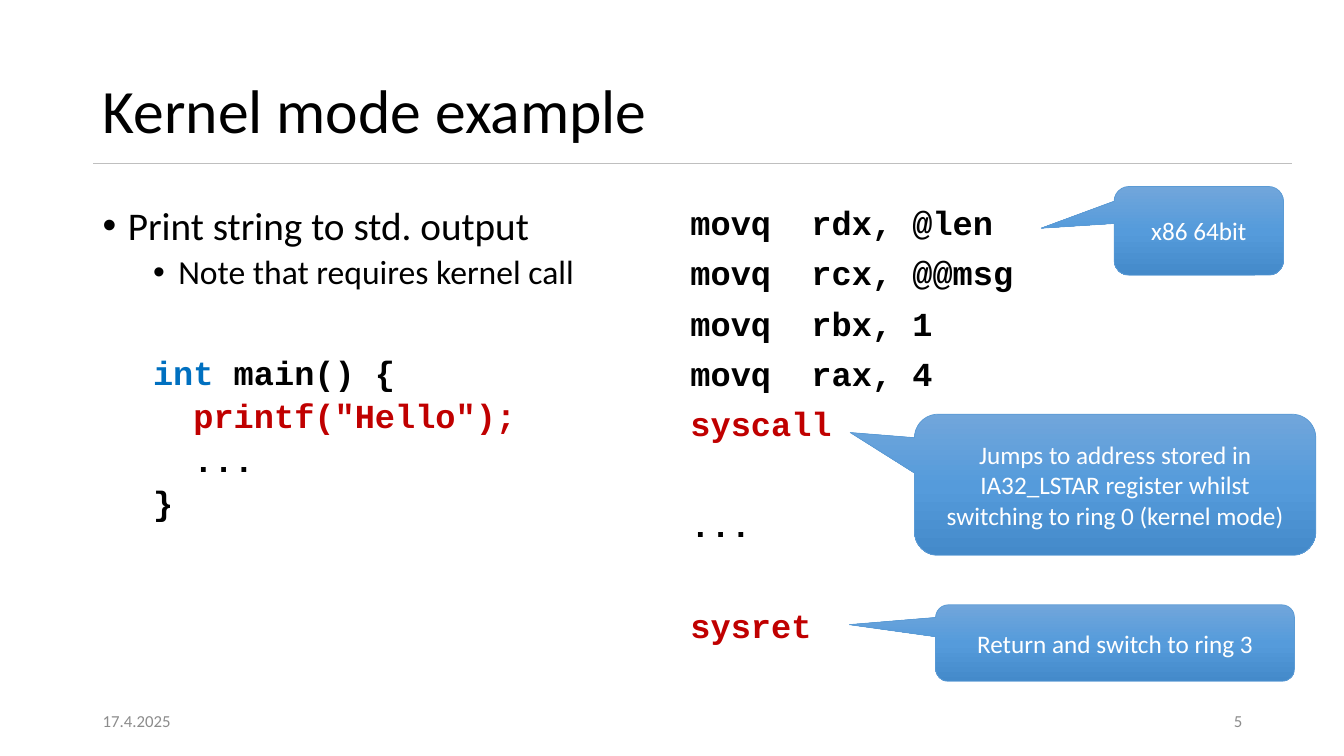
"""Build the kernel mode example slide."""
from copy import deepcopy
from dataclasses import dataclass

from lxml import etree
from pptx import Presentation
from pptx.dml.color import RGBColor
from pptx.enum.shapes import MSO_CONNECTOR, MSO_SHAPE
from pptx.enum.text import MSO_ANCHOR, PP_ALIGN
from pptx.oxml.ns import qn
from pptx.shapes.autoshape import Shape
from pptx.slide import Slide
from pptx.text.text import TextFrame
from pptx.util import Inches, Pt

LEFT, CENTER, RIGHT = PP_ALIGN.LEFT, PP_ALIGN.CENTER, PP_ALIGN.RIGHT
TOP, MIDDLE = MSO_ANCHOR.TOP, MSO_ANCHOR.MIDDLE
BUBBLE = MSO_SHAPE.ROUNDED_RECTANGULAR_CALLOUT
STRAIGHT = MSO_CONNECTOR.STRAIGHT


@dataclass(frozen=True)
class Theme:
    sans: str = "Calibri"
    mono: str = "Courier New"
    ink: str = "000000"
    blue: str = "0070C0"
    red: str = "C00000"
    gray: str = "8C8C8C"
    rule: str = "BFBFBF"
    white: str = "FFFFFF"
    edge: str = "5B9BD5"
    fade: tuple[str, ...] = ("71A6DB", "559BDB", "448ACA")
    title: int = 44
    lead: int = 28
    text: int = 24
    note: int = 18
    foot: int = 12


THEME = Theme()


@dataclass(frozen=True)
class Box:
    left: float
    top: float
    width: float
    height: float


@dataclass(frozen=True)
class Word:
    text: str
    color: str = THEME.ink


@dataclass(frozen=True)
class Line:
    words: tuple[Word, ...]
    before: float = 0
    size: int = THEME.text
    font: str = THEME.mono
    bold: bool = True
    margin: float = 0
    bullet: bool = False
    spacing: float = 0.9
    align: PP_ALIGN = LEFT


@dataclass(frozen=True)
class Bubble:
    text: str
    box: Box
    tip: tuple[float, float]


def plain(text: str, size: int, color: str = THEME.ink, **more) -> Line:
    """Describe a line of regular sans text."""
    return Line((Word(text, color),), size=size, font=THEME.sans, bold=False, **more)


def code(text: str, before: float = 10, color: str = THEME.ink) -> Line:
    """Describe a line of code in one colour."""
    return Line((Word(text, color),), before)


def write(frame: TextFrame, lines: list[Line], anchor: MSO_ANCHOR) -> None:
    """Fill a text frame with formatted lines."""
    frame.word_wrap = True
    frame.vertical_anchor = anchor
    frame.text = "\n".join(line.words[0].text for line in lines)
    for para, line in zip(frame.paragraphs, lines):
        props = para._p.get_or_add_pPr()
        props.set("marL", str(Inches(line.margin)))
        props.set("indent", str(Inches(-0.25 if line.bullet else 0)))
        if line.bullet:
            etree.SubElement(props, qn("a:buFont"), typeface="Arial")
            etree.SubElement(props, qn("a:buChar"), char="•")
        para.alignment = line.align
        para.line_spacing = line.spacing
        para.space_before = Pt(line.before)
        for word in line.words[1:]:
            para.add_run().text = word.text
        for run, word in zip(para.runs, line.words):
            run.font.name = line.font
            run.font.size = Pt(line.size)
            run.font.bold = line.bold
            run.font.color.rgb = RGBColor.from_string(word.color)


def place(shape: Shape, box: Box) -> None:
    """Move and size a shape."""
    shape.left, shape.top = Inches(box.left), Inches(box.top)
    shape.width, shape.height = Inches(box.width), Inches(box.height)


def add_text(slide: Slide, box: Box, lines: list[Line], anchor: MSO_ANCHOR = TOP) -> None:
    """Add a text box."""
    shape = slide.shapes.add_textbox(0, 0, 0, 0)
    place(shape, box)
    write(shape.text_frame, lines, anchor)


def add_rule(slide: Slide) -> None:
    """Add the thin rule under the title."""
    rule = slide.shapes.add_connector(
        STRAIGHT, Inches(12.81), Inches(1.62), Inches(0.92), Inches(1.62))
    rule.line.color.rgb = RGBColor.from_string(THEME.rule)
    rule.line.width = Pt(1)
    etree.SubElement(rule._element.spPr, qn("a:effectLst"))


def add_bubble(slide: Slide, bubble: Bubble) -> None:
    """Add a callout with a gradient fill."""
    shape = slide.shapes.add_shape(BUBBLE, 0, 0, 0, 0)
    place(shape, bubble.box)
    for index, value in enumerate((*bubble.tip, 0.167)):
        shape.adjustments[index] = value
    shape.shadow.inherit = False
    shape.fill.gradient()
    shape.fill.gradient_angle = 270
    stops = shape._element.spPr.find(qn("a:gradFill")).find(qn("a:gsLst"))
    stops.append(deepcopy(stops[0]))
    for index, (stop, color) in enumerate(zip(shape.fill.gradient_stops, THEME.fade)):
        stop.position = index / 2
        stop.color.rgb = RGBColor.from_string(color)
    shape.line.color.rgb = RGBColor.from_string(THEME.edge)
    shape.line.width = Pt(0.5)
    line = plain(bubble.text, THEME.note, THEME.white, spacing=1.0, align=CENTER)
    write(shape.text_frame, [line], MIDDLE)


SOURCE = [
    plain("Print string to std. output", THEME.lead, margin=0.25, bullet=True),
    plain("Note that requires kernel call", THEME.text, before=5, margin=0.75, bullet=True),
    Line((Word("int", THEME.blue), Word(" main() {")), 46, margin=0.5),
    Line((Word("  "), Word('printf("Hello");', THEME.red)), 5, margin=0.5),
    Line((Word("  ..."),), 5, margin=0.5),
    Line((Word("}"),), 5, margin=0.5),
]
CALLS = [
    code("movq  rdx, @len", 0),
    code("movq  rcx, @@msg"),
    code("movq  rbx, 1"),
    code("movq  rax, 4"),
    code("syscall", color=THEME.red),
    code("...", 46),
    code("sysret", 46, THEME.red),
]
BUBBLES = [
    Bubble("Jumps to address stored in IA32_LSTAR register whilst "
           "switching to ring 0 (kernel mode)",
           Box(9.07, 4.11, 3.98, 1.4), (-0.66, -0.37)),
    Bubble("Return and switch to ring 3", Box(9.28, 6, 3.56, 0.76), (-0.74, -0.24)),
    Bubble("x86 64bit", Box(11.05, 1.85, 1.68, 0.88), (-0.93, -0.03)),
]


def main() -> None:
    """Draw and save the slide."""
    deck = Presentation()
    deck.slide_width, deck.slide_height = Inches(13.33), Inches(7.5)
    slide = deck.slides.add_slide(deck.slide_layouts[5])
    add_rule(slide)
    title = slide.shapes.title
    place(title, Box(0.92, 0.4, 10.63, 1.45))
    write(title.text_frame, [plain("Kernel mode example", THEME.title)], MIDDLE)
    for left, lines in ((0.92, SOURCE), (6.75, CALLS)):
        add_text(slide, Box(left, 2, 5.67, 4.76), lines)
    for left, text, align in ((0.92, "17.4.2025", LEFT), (9.42, "5", RIGHT)):
        line = plain(text, THEME.foot, THEME.gray, spacing=1.0, align=align)
        add_text(slide, Box(left, 6.95, 3, 0.4), [line], MIDDLE)
    for bubble in BUBBLES:
        add_bubble(slide, bubble)
    deck.save("out.pptx")


if __name__ == "__main__":
    main()
